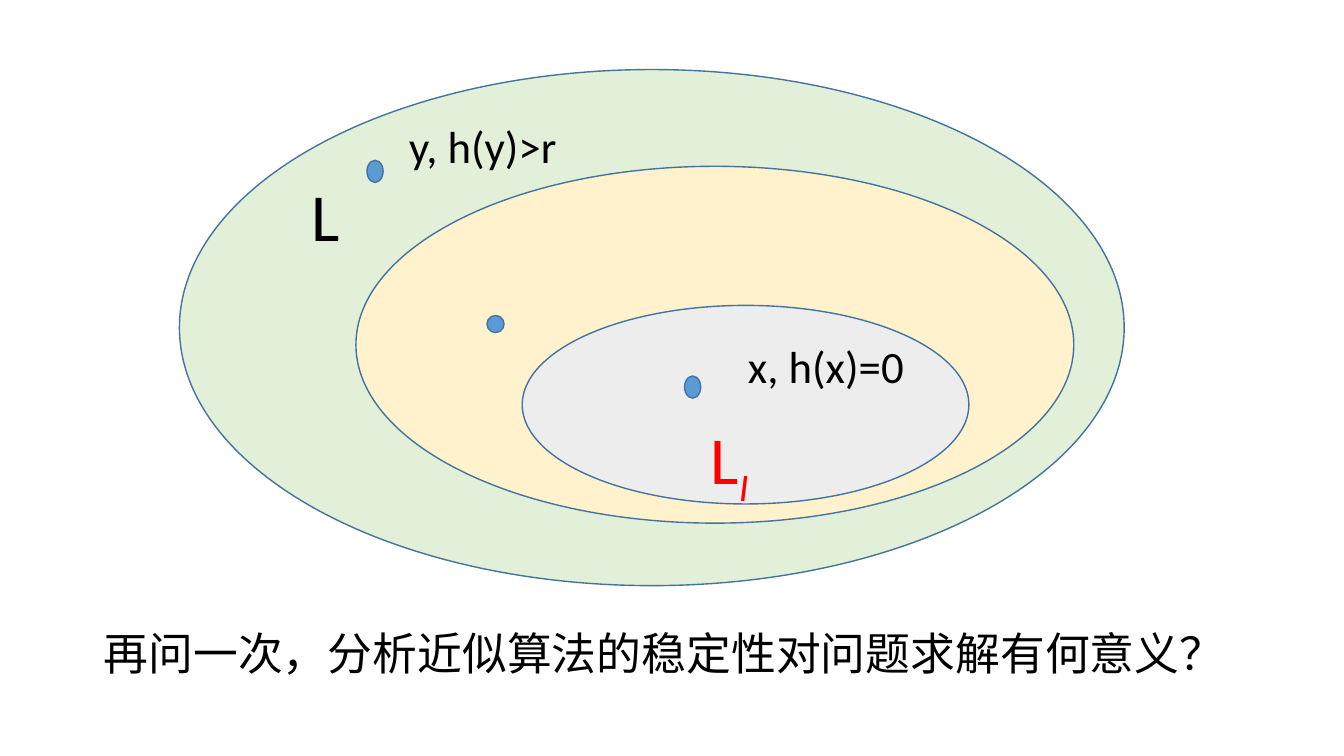
from dataclasses import dataclass

from pptx import Presentation
from pptx.dml.color import RGBColor
from pptx.enum import shapes, text
from pptx.util import Inches, Pt

FONT = "Calibri"
OUTLINE = "43739E"
DOT_FILL = "5B9BD5"


@dataclass
class Oval:
    left: float
    top: float
    width: float
    height: float
    fill: str = DOT_FILL


@dataclass
class Label:
    left: float
    top: float
    width: float
    height: float
    words: str
    size: int = 32
    color: str = "000000"
    subscript: str = ""


def rgb(value: str) -> RGBColor:
    return RGBColor.from_string(value)


def add_oval(page, oval: Oval) -> None:
    shape = page.shapes.add_shape(
        shapes.MSO_SHAPE.OVAL, Inches(oval.left), Inches(oval.top),
        Inches(oval.width), Inches(oval.height))
    shape.shadow.inherit = False
    shape.fill.solid()
    shape.fill.fore_color.rgb = rgb(oval.fill)
    shape.line.color.rgb = rgb(OUTLINE)
    shape.line.width = Pt(1)


def add_span(para, words: str, *, size: int, color: str,
             italic: bool = False, baseline: int = 0) -> None:
    span = para.add_run()
    span.text = words
    span.font.name = FONT
    span.font.size = Pt(size)
    span.font.color.rgb = rgb(color)
    if italic:
        span.font.italic = True
    if baseline:
        span._r.get_or_add_rPr().set("baseline", str(baseline * 1000))


def add_label(page, label: Label) -> None:
    box = page.shapes.add_textbox(Inches(label.left), Inches(label.top),
                                  Inches(label.width), Inches(label.height))
    frame = box.text_frame
    frame.word_wrap = False
    frame.auto_size = text.MSO_AUTO_SIZE.SHAPE_TO_FIT_TEXT
    para = frame.paragraphs[0]
    add_span(para, label.words, size=label.size, color=label.color)
    if label.subscript:
        add_span(para, label.subscript, size=label.size, color=label.color,
                 italic=True, baseline=-25)


# Nested language sets, outermost first
SETS = [
    Oval(1.78, 0.69, 9.37, 5.12, "E2F0D9"),
    Oval(3.53, 1.65, 7.12, 3.54, "FFF2CC"),
    Oval(5.18, 3.03, 4.43, 1.97, "EDEDED"),
]

# One sample instance in each set
INSTANCES = [
    Oval(3.64, 1.59, 0.16, 0.22),
    Oval(4.83, 3.13, 0.17, 0.17),
    Oval(6.79, 3.73, 0.16, 0.22),
]

# Set names, instance names and the closing question
LABELS = [
    Label(2.99, 1.68, 0.48, 0.91, "L", size=48),
    Label(6.95, 4.09, 0.6, 0.91, "L", size=48, color="FF0000", subscript="I"),
    Label(3.96, 1.13, 1.7, 0.64, "y, h(y)>r"),
    Label(7.32, 3.31, 1.77, 0.64, "x, h(x)=0"),
    Label(0.93, 6.16, 11.42, 0.64,
          "再问一次，分析近似算法的稳定性对问题求解有何意义？"),
]


def main() -> None:
    deck = Presentation()
    deck.slide_width = Inches(13.33)
    deck.slide_height = Inches(7.5)
    page = deck.slides.add_slide(deck.slide_layouts[6])
    for oval in SETS + INSTANCES:
        add_oval(page, oval)
    for label in LABELS:
        add_label(page, label)
    deck.save("out.pptx")


if __name__ == "__main__":
    main()
